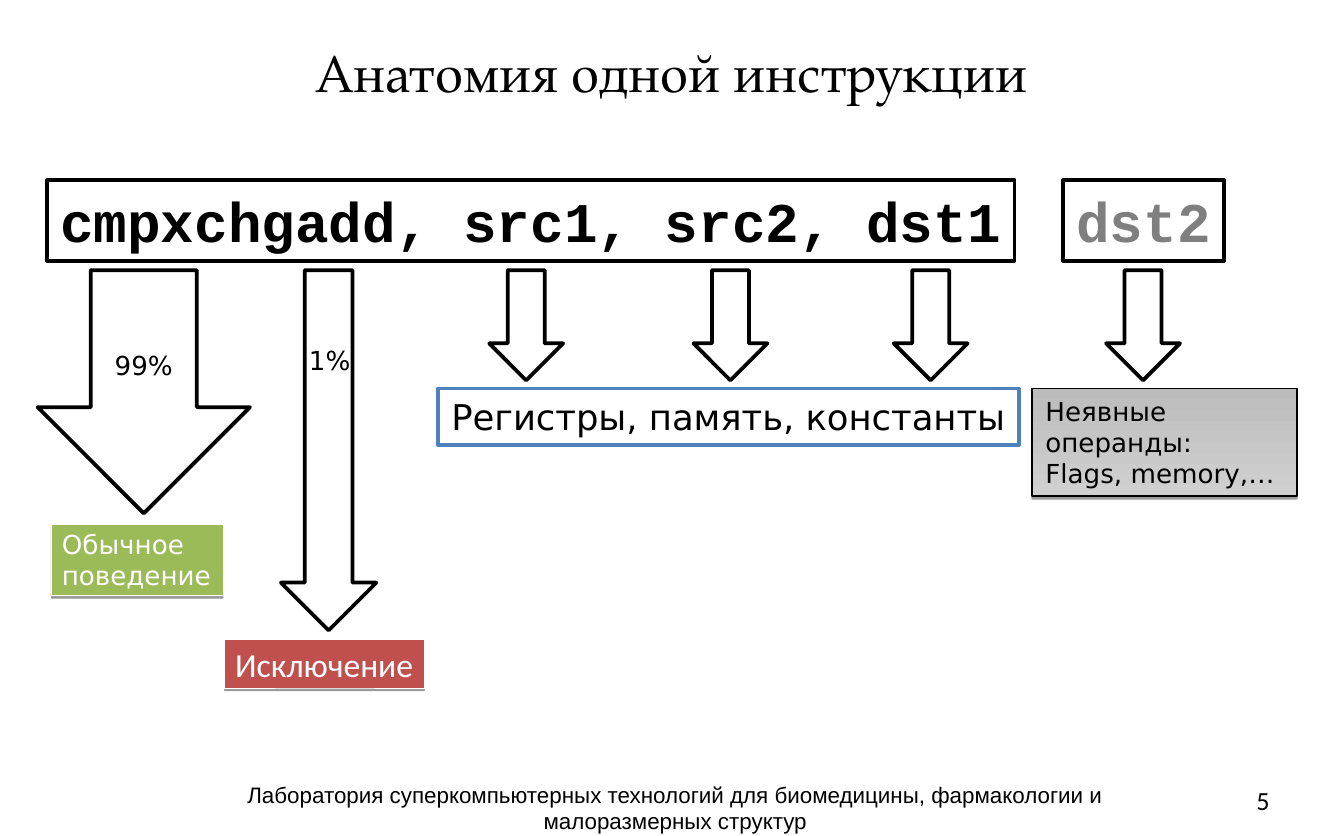
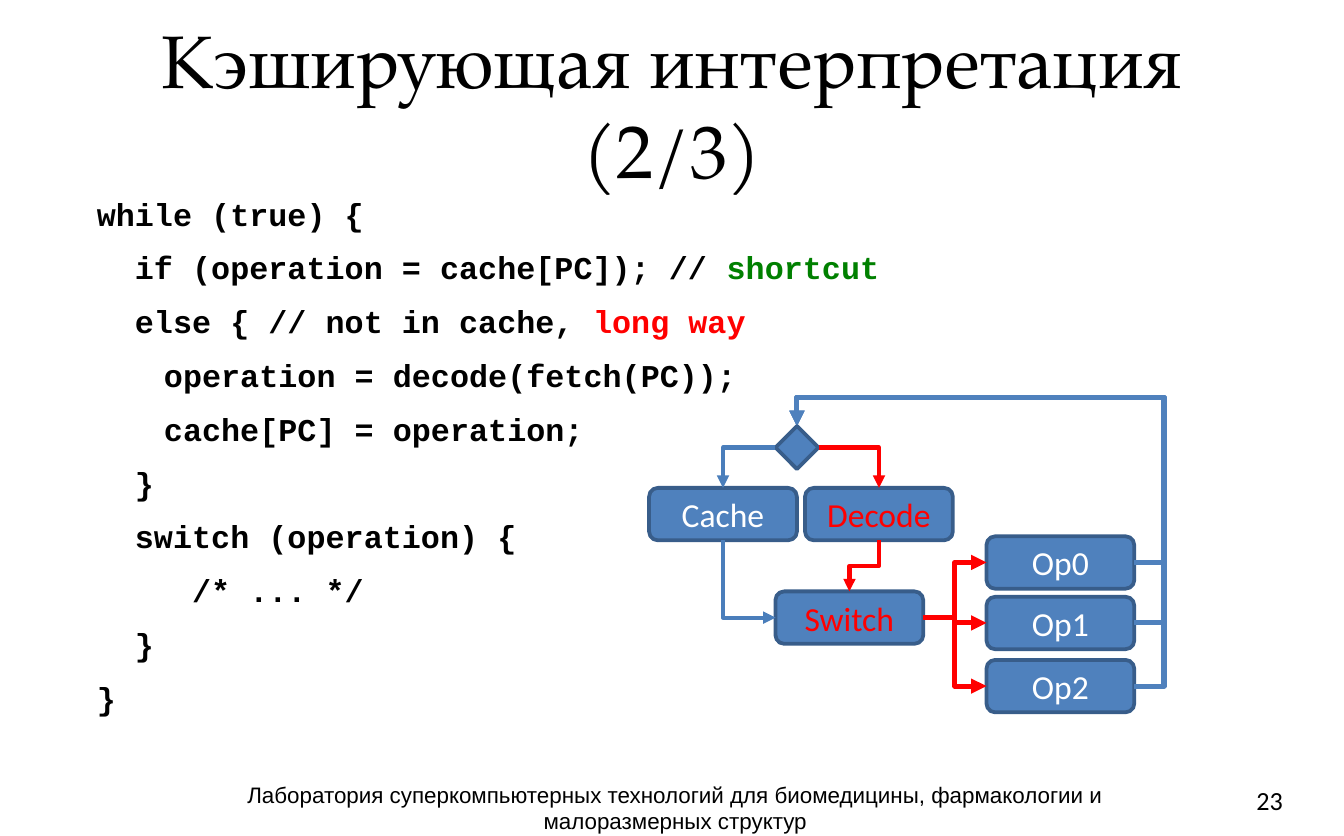
"""Build two slides on instruction anatomy and caching interpretation."""
from dataclasses import dataclass

from lxml import etree
from pptx import Presentation
from pptx.dml.color import RGBColor
from pptx.enum.shapes import MSO_CONNECTOR, MSO_SHAPE
from pptx.enum.text import MSO_ANCHOR, MSO_AUTO_SIZE, PP_ALIGN
from pptx.oxml.ns import qn
from pptx.util import Inches, Pt

RECTANGLE = MSO_SHAPE.RECTANGLE
ROUNDED = MSO_SHAPE.ROUNDED_RECTANGLE
DIAMOND = MSO_SHAPE.DIAMOND
DOWN_ARROW = MSO_SHAPE.DOWN_ARROW
ELBOW = MSO_CONNECTOR.ELBOW
TOP, MIDDLE = MSO_ANCHOR.TOP, MSO_ANCHOR.MIDDLE
LEFT, CENTER = PP_ALIGN.LEFT, PP_ALIGN.CENTER
NO_AUTOFIT = MSO_AUTO_SIZE.NONE
TITLE_ONLY, TITLE_AND_BODY = 5, 1


@dataclass(frozen=True)
class TextStyle:
    """Font, size and colour of a text."""
    font: str
    size: float
    color: str = "000000"
    bold: bool = False


@dataclass(frozen=True)
class Theme:
    """Colours and text styles of the slides."""
    black: str = "000000"
    white: str = "FFFFFF"
    blue: str = "4F81BD"
    dark_blue: str = "385D8A"
    line_blue: str = "4A7EBB"
    green: str = "9BBB59"
    brick: str = "C0504D"
    red: str = "FF0000"
    comment_green: str = "008000"
    gradient: tuple = ("BCBCBC", "D0D0D0")
    title: TextStyle = TextStyle("TeX Gyre Pagella", 28)
    large_title: TextStyle = TextStyle("TeX Gyre Pagella", 40)
    footer: TextStyle = TextStyle("Arial", 12)
    number: TextStyle = TextStyle("Calibri", 14)
    instruction: TextStyle = TextStyle("Courier New", 30, bold=True)
    implicit: TextStyle = TextStyle("Courier New", 30, "7F7F7F", True)
    code: TextStyle = TextStyle("Courier New", 17, bold=True)
    label: TextStyle = TextStyle("DejaVu Sans", 14)
    label_light: TextStyle = TextStyle("DejaVu Sans", 14, "FFFFFF")
    operands: TextStyle = TextStyle("DejaVu Sans", 19)
    node: TextStyle = TextStyle("Calibri", 18, "FFFFFF")
    slow_node: TextStyle = TextStyle("Calibri", 18, "FF0000")


THEME = Theme()
FOOTER = ("Лаборатория суперкомпьютерных технологий для биомедицины, "
          "фармакологии и малоразмерных структур")
CODE = [
    [("while (true) {", THEME.black)],
    [("  if (operation = cache[PC]); // ", THEME.black),
     ("shortcut", THEME.comment_green)],
    [("  else { // not in cache, ", THEME.black), ("long way", THEME.red)],
    [("  \toperation = decode(fetch(PC));", THEME.black)],
    [("  \tcache[PC] = operation;", THEME.black)],
    [("  }", THEME.black)],
    [("  switch (operation) {", THEME.black)],
    [("     /* ... */", THEME.black)],
    [("  }", THEME.black)],
    [("}", THEME.black)],
]
NODE_WIDTH, NODE_HEIGHT = 1.1, 0.39
SMALL_ARROW = (0.55, 0.82)
ARROW_TOP = 2.01


def rgb(color):
    """Turn a hex string into a colour."""
    return RGBColor.from_string(color)


def inches(values):
    """Turn a row of numbers into lengths."""
    return [Inches(value) for value in values]


def style_run(run, style, color=None):
    """Apply a text style to a run."""
    font = run.font
    font.name, font.size, font.bold = style.font, Pt(style.size), style.bold
    font.color.rgb = rgb(color or style.color)


def set_text(shape, text, style, align=LEFT, anchor=TOP, wrap=True):
    """Write styled text into a shape."""
    frame = shape.text_frame
    frame.text = text
    frame.word_wrap, frame.vertical_anchor = wrap, anchor
    frame.auto_size = NO_AUTOFIT
    for paragraph in frame.paragraphs:
        paragraph.alignment = align
        for run in paragraph.runs:
            style_run(run, style)


def place(shape, box):
    """Move a shape to a box given in inches."""
    shape.left, shape.top, shape.width, shape.height = inches(box)


def add_text(slide, box, text, style, align=LEFT, wrap=True):
    """Add a plain text box."""
    shape = slide.shapes.add_textbox(*inches(box))
    set_text(shape, text, style, align, wrap=wrap)


def add_figure(slide, kind, box, fill=THEME.white, line=THEME.black, width=2):
    """Add a filled and outlined preset shape."""
    shape = slide.shapes.add_shape(kind, *inches(box))
    shape.shadow.inherit = False
    shape.fill.solid()
    shape.fill.fore_color.rgb = rgb(fill)
    shape.line.color.rgb = rgb(line)
    shape.line.width = Pt(width)
    return shape


def add_shadow(shape):
    """Give a shape a thin shadow below it."""
    effects = shape.element.spPr.find(qn("a:effectLst"))
    shadow = etree.SubElement(effects, qn("a:outerShdw"), blurRad="0",
                              dist=str(Pt(1.6)), dir="5400000", rotWithShape="0")
    color = etree.SubElement(shadow, qn("a:srgbClr"), val=THEME.black)
    etree.SubElement(color, qn("a:alpha"), val="38000")


def add_tag(slide, box, text, fill, style):
    """Add a coloured outcome label with a shadow."""
    shape = add_figure(slide, RECTANGLE, box, fill, THEME.white, 0.28)
    add_shadow(shape)
    set_text(shape, text, style, wrap=False)
    frame = shape.text_frame
    frame.margin_left = frame.margin_right = Inches(0.08)
    frame.margin_top = frame.margin_bottom = Inches(0.03)


def add_node(slide, left, top, text, style):
    """Add a rounded flowchart box."""
    shape = add_figure(slide, ROUNDED, (left, top, NODE_WIDTH, NODE_HEIGHT),
                       THEME.blue, THEME.dark_blue)
    set_text(shape, text, style, CENTER, MIDDLE)


def add_elbow(slide, begin, end, color, width, bends=3, adjustments=(),
              downward=False):
    """Add a bent arrow that leaves sideways, or downward if asked."""
    rotation = 0
    if downward:
        across, down = end[0] - begin[0], end[1] - begin[1]
        center_x, center_y = begin[0] + across / 2, begin[1] + down / 2
        side = 1 if across > 0 else -1
        rotation = 270 if across > 0 else 90
        begin = center_x + side * down / 2, center_y - abs(across) / 2
        end = center_x - side * down / 2, center_y + abs(across) / 2
    connector = slide.shapes.add_connector(ELBOW, *inches(begin + end))
    connector.line.color.rgb = rgb(color)
    connector.line.width = Pt(width)
    properties = connector.element.spPr
    if rotation:
        properties.find(qn("a:xfrm")).set("rot", str(rotation * 60000))
    geometry = properties.find(qn("a:prstGeom"))
    geometry.set("prst", f"bentConnector{bends}")
    guides = geometry.find(qn("a:avLst"))
    for index, value in enumerate(adjustments, 1):
        etree.SubElement(guides, qn("a:gd"), name=f"adj{index}",
                         fmla=f"val {round(value * 100000)}")
    etree.SubElement(properties.find(qn("a:ln")), qn("a:tailEnd"), type="triangle")
    etree.SubElement(properties, qn("a:effectLst"))


def add_slide(presentation, layout, title, style, title_top, number):
    """Add a slide with its title, footer and number."""
    slide = presentation.slides.add_slide(presentation.slide_layouts[layout])
    place(slide.shapes.title, (0.5, title_top, 9, 1.04))
    set_text(slide.shapes.title, title, style, CENTER, MIDDLE)
    add_text(slide, (1.14, 5.76, 7.77, 0.33), FOOTER, THEME.footer, CENTER)
    add_text(slide, (9.25, 5.79, 0.56, 0.33), number, THEME.number)
    return slide


def add_code(body):
    """Fill the body placeholder with the code listing."""
    place(body, (0.5, 1.45, 9, 4.11))
    body.fill.solid()
    body.fill.fore_color.rgb = rgb(THEME.white)
    frame = body.text_frame
    frame.auto_size = NO_AUTOFIT
    frame.margin_left = Inches(0.22)
    frame.text = "\n".join("" for _ in CODE)
    for paragraph, parts in zip(frame.paragraphs, CODE):
        paragraph.line_spacing = 0.8
        paragraph.space_before, paragraph.space_after = Pt(0), Pt(12.5)
        properties = paragraph._p.get_or_add_pPr()
        properties.set("marL", "0")
        properties.set("indent", "0")
        etree.SubElement(properties, qn("a:buNone"))
        tabs = etree.SubElement(properties, qn("a:tabLst"))
        etree.SubElement(tabs, qn("a:tab"), pos=str(Inches(1)), algn="l")
        for text, color in parts:
            run = paragraph.add_run()
            run.text = text
            style_run(run, THEME.code, color)


def add_anatomy(slide):
    """Draw the instruction, its operands and its outcomes."""
    for left, width, text, style in (
            (0.35, 7.2, "cmpxchgadd, src1, src2, dst1", THEME.instruction),
            (7.91, 1.2, "dst2", THEME.implicit)):
        shape = add_figure(slide, RECTANGLE, (left, 1.34, width, 0.6))
        set_text(shape, text, style, anchor=MIDDLE, wrap=False)
    for left in (3.64, 5.16, 6.65, 8.23):
        add_figure(slide, DOWN_ARROW, (left, ARROW_TOP, *SMALL_ARROW))
    usual = add_figure(slide, DOWN_ARROW, (0.28, ARROW_TOP, 1.58, 1.81))
    set_text(usual, "99%", THEME.label, CENTER, MIDDLE)
    add_figure(slide, DOWN_ARROW, (2.09, ARROW_TOP, 0.71, 2.68))
    add_text(slide, (2.2, 2.51, 0.51, 0.33), "1%", THEME.label, wrap=False)
    add_tag(slide, (0.38, 3.9, 1.28, 0.53), "Обычное\nповедение",
            THEME.green, THEME.label_light)
    add_tag(slide, (1.67, 4.76, 1.49, 0.36), "Исключение", THEME.brick, THEME.node)
    operands = add_figure(slide, RECTANGLE, (3.26, 2.89, 4.32, 0.42), line=THEME.blue)
    set_text(operands, "Регистры, память, константы", THEME.operands, wrap=False)
    implicit = add_figure(slide, RECTANGLE, (7.68, 2.89, 1.97, 0.8), width=0.75)
    implicit.fill.gradient()
    implicit.fill.gradient_angle = 270
    for stop, color in zip(implicit.fill.gradient_stops, THEME.gradient):
        stop.color.rgb = rgb(color)
    add_shadow(implicit)
    set_text(implicit, "Неявные\nоперанды:\nFlags, memory,…", THEME.label)


def add_flowchart(slide):
    """Draw the interpreter loop with its fast and slow ways."""
    check_top, check_left, check_right = (5.93, 3.17), (5.77, 3.33), (6.09, 3.33)
    cache_left, decode_left, switch_left, operation_left = 4.83, 5.99, 5.77, 7.34
    cache_x, decode_x, switch_x = (left + NODE_WIDTH / 2 for left in (
        cache_left, decode_left, switch_left))
    row_top, switch_top = 3.63, 4.4
    row_bottom = row_top + NODE_HEIGHT
    switch_y = switch_top + NODE_HEIGHT / 2
    lane_x, lane_y = 8.66, 2.96
    add_node(slide, decode_left, row_top, "Decode", THEME.slow_node)
    add_node(slide, switch_left, switch_top, "Switch", THEME.slow_node)
    for index, top in enumerate((3.99, 4.44, 4.91)):
        add_node(slide, operation_left, top, f"Op{index}", THEME.node)
        middle = top + NODE_HEIGHT / 2
        add_elbow(slide, (switch_left + NODE_WIDTH, switch_y),
                  (operation_left, middle), THEME.red, 2.75)
        begin = operation_left + NODE_WIDTH, middle
        turns = [(start - lane) / (start - stop) for start, lane, stop in zip(
            begin, (lane_x, lane_y), check_top)]
        add_elbow(slide, begin, check_top, THEME.blue, 2.75, 4, turns)
    add_elbow(slide, (decode_x, row_bottom), (switch_x, switch_top),
              THEME.red, 2.25, downward=True)
    add_node(slide, cache_left, row_top, "Cache", THEME.node)
    add_figure(slide, DIAMOND, (5.77, 3.17, 0.32, 0.32), THEME.blue, THEME.dark_blue)
    add_elbow(slide, check_right, (decode_x, row_top), THEME.red, 2.25, 2)
    add_elbow(slide, check_left, (cache_x, row_top), THEME.line_blue, 2.25, 2)
    add_elbow(slide, (cache_x, row_bottom), (switch_left, switch_y),
              THEME.line_blue, 2.25, 2, downward=True)


def main():
    """Build and save the presentation."""
    presentation = Presentation()
    presentation.slide_width, presentation.slide_height = inches((10, 6.22))
    anatomy = add_slide(presentation, TITLE_ONLY, "Анатомия одной инструкции",
                        THEME.title, 0.01, "5")
    add_anatomy(anatomy)
    caching = add_slide(presentation, TITLE_AND_BODY, "Кэширующая интерпретация (2/3)",
                        THEME.large_title, 0.25, "23")
    add_code(caching.placeholders[1])
    add_flowchart(caching)
    presentation.save("out.pptx")


if __name__ == "__main__":
    main()
